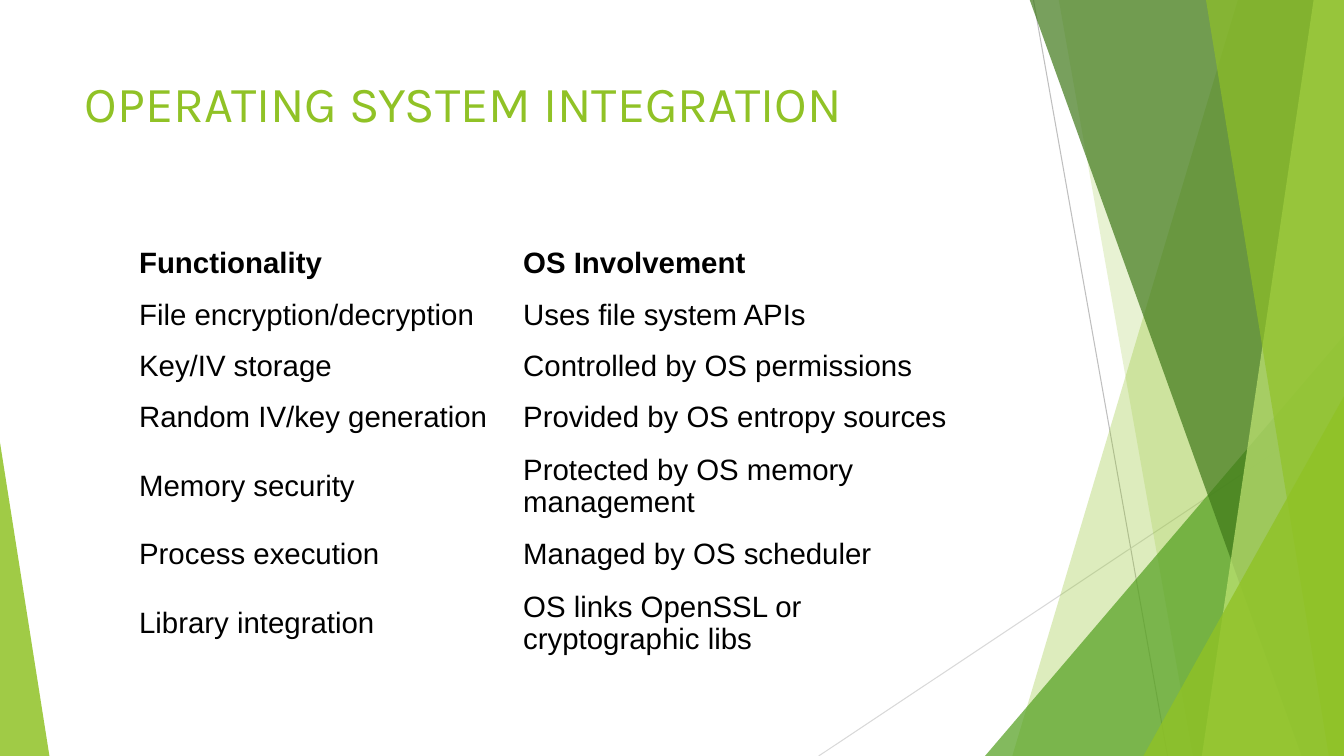
from lxml import etree
from pptx import Presentation
from pptx.dml.color import RGBColor
from pptx.enum.shapes import MSO_CONNECTOR as CONNECTOR, MSO_SHAPE as SHAPE
from pptx.enum.text import MSO_ANCHOR as ANCHOR, PP_ALIGN as ALIGN
from pptx.oxml.ns import qn
from pptx.util import Inches, Pt

WIDTH, HEIGHT, TOP = 13.33, 7.5, -0.01
GREEN = "90C226"
NO_STYLE_NO_GRID = "{2D5ABB26-0587-4C30-8999-92F81FD0307C}"


def rgb(color):
    return RGBColor.from_string(color)


def paint(facet, color, opacity):
    """Give a facet a translucent fill, without outline or shadow."""
    facet.shadow.inherit = False
    facet.line.fill.background()
    facet.fill.solid()
    facet.fill.fore_color.rgb = rgb(color)
    fill_color = facet.fill._xPr.find(qn("a:solidFill"))[0]
    etree.SubElement(fill_color, qn("a:alpha"), val=str(opacity * 1000))


prs = Presentation()
prs.slide_width, prs.slide_height = Inches(WIDTH), Inches(HEIGHT)
slide = prs.slides.add_slide(prs.slide_layouts[5])
shapes = slide.shapes

# Thin lines behind the facets
for x1, y1, x2, y2, color in [
    (10.25, 0, 11.58, HEIGHT, "BFBFBF"),
    (WIDTH, 4.03, 8.12, HEIGHT, "D9D9D9"),
]:
    ray = shapes.add_connector(
        CONNECTOR.STRAIGHT, Inches(x1), Inches(y1), Inches(x2), Inches(y2))
    ray.line.color.rgb = rgb(color)
    ray.line.width = Pt(0.75)
    etree.SubElement(ray._element.spPr, qn("a:effectLst"))

# Bands: x at the top, x at the bottom; each reaches the right edge.
# Wedges: left, top, width, apex position; each stands on the bottom edge.
facets = [
    ((12.28, 10.04), GREEN, 30),
    ((10.5, 11.83), GREEN, 20),
    ((9.77, 3.33, 3.56, 1), "54A021", 72),
    ((10.21, 12.91), "3F7819", 70),
    ((13.03, 11.92), "C0E474", 70),
    ((11.96, 13.18), GREEN, 65),
    ((11.34, 3.93, 1.99, 1), GREEN, 80),
    ((0, 4.39, 0.49, 0), GREEN, 85),
]
for geometry, color, opacity in facets:
    if len(geometry) == 2:
        top_x, bottom_x = geometry
        outline = shapes.build_freeform(Inches(top_x), Inches(TOP))
        outline.add_line_segments([
            (Inches(WIDTH), Inches(TOP)),
            (Inches(WIDTH), Inches(HEIGHT)),
            (Inches(bottom_x), Inches(HEIGHT)),
        ])
        facet = outline.convert_to_shape()
    else:
        left, top, width, apex = geometry
        facet = shapes.add_shape(
            SHAPE.ISOSCELES_TRIANGLE, Inches(left), Inches(top),
            Inches(width), Inches(HEIGHT - top))
        facet.adjustments[0] = apex
    paint(facet, color, opacity)

title = shapes.title
title.left, title.top = Inches(0.74), Inches(0.67)
title.width, title.height = Inches(9.4), Inches(1.44)
title.text_frame.text = "OPERATING SYSTEM INTEGRATION"
title.text_frame.vertical_anchor = ANCHOR.TOP
heading = title.text_frame.paragraphs[0]
heading.alignment = ALIGN.LEFT
heading.font.name, heading.font.size = "Karla", Pt(36)
heading.font.color.rgb = rgb(GREEN)

functionality = [
    ("Functionality", "OS Involvement", 0.51),
    ("File encryption/decryption", "Uses file system APIs", 0.51),
    ("Key/IV storage", "Controlled by OS permissions", 0.51),
    ("Random IV/key generation", "Provided by OS entropy sources", 0.51),
    ("Memory security", "Protected by OS memory management", 0.85),
    ("Process execution", "Managed by OS scheduler", 0.51),
    ("Library integration", "OS links OpenSSL or cryptographic libs", 0.85),
]
involvement = shapes.add_table(
    len(functionality), 2, Inches(1.26), Inches(2.36), Inches(8.36), Inches(4.24)).table
involvement._tbl.tblPr.find(qn("a:tableStyleId")).text = NO_STYLE_NO_GRID
involvement.horz_banding = False
involvement.columns[0].width = Inches(3.81)
involvement.columns[1].width = Inches(4.55)
for r, (*texts, height) in enumerate(functionality):
    involvement.rows[r].height = Inches(height)
    for c, text in enumerate(texts):
        cell = involvement.cell(r, c)
        cell.text = text
        cell.fill.background()
        cell.vertical_anchor = ANCHOR.MIDDLE
        cell.margin_left = cell.margin_right = Inches(0.12)
        cell.margin_top = cell.margin_bottom = Inches(0.06)
        font = cell.text_frame.paragraphs[0].font
        font.name, font.size, font.bold = "Arial", Pt(21), r == 0
        font.color.rgb = rgb("000000")

prs.save("out.pptx")
